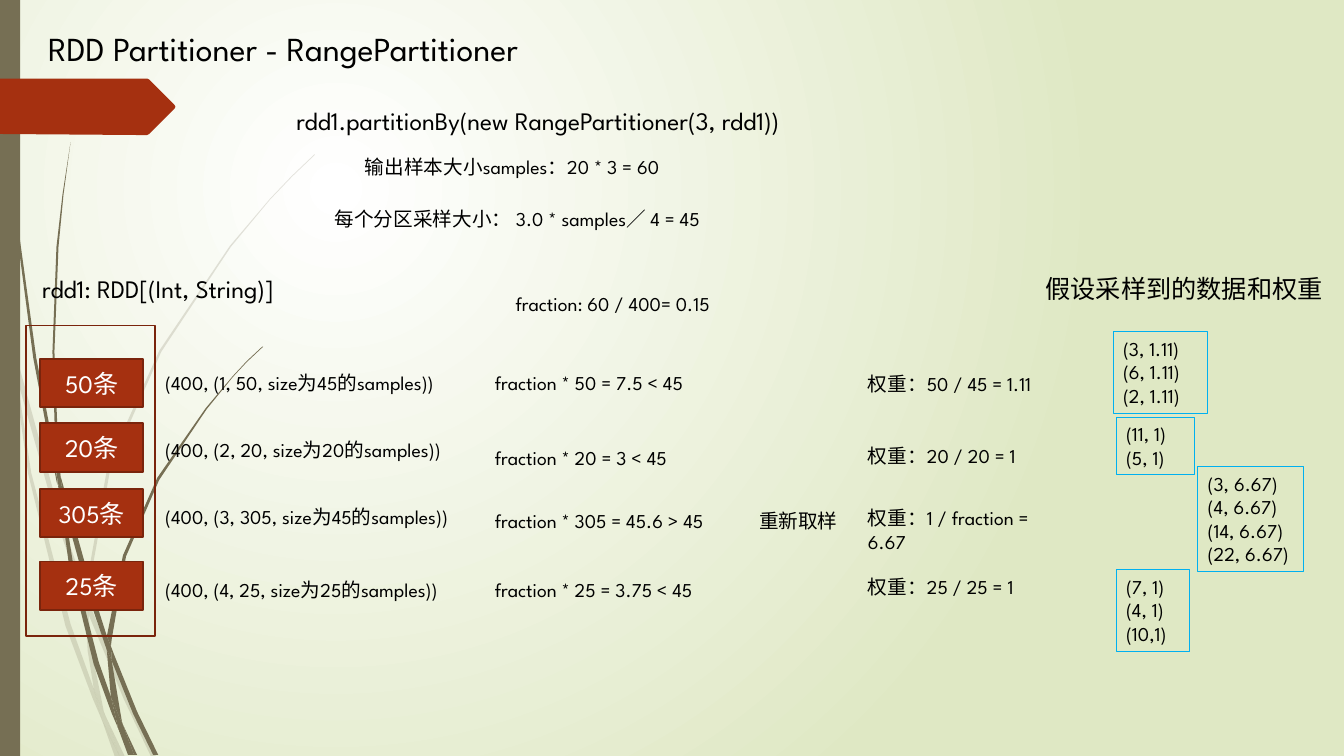
from dataclasses import dataclass

from lxml import etree
from pptx import Presentation
from pptx.dml.color import RGBColor
from pptx.enum import shapes, text
from pptx.oxml import ns
from pptx.util import Emu, Pt

PX = 9144
FONT = "League Spartan"
BLACK, WHITE, RED, DARK_RED = "000000", "FFFFFF", "A53010", "7A240C"
OLIVE, PALE_GREEN, BLUE = "766F54", "DFE8C4", "00B0F0"
Outline = tuple[tuple[int, int], ...]

PALE_WISPS: tuple[Outline, ...] = (
    ((11, 350), (9, 322), (0, 282), (0, 299), (10, 344)),
    ((58, 522), (84, 599), (85, 586), (62, 520), (14, 345), (17, 376)),
    ((92, 607), (88, 596), (88, 610), (123, 694), (150, 751), (155, 751), (127, 692)),
    ((119, 751), (124, 751), (105, 711)),
    ((93, 683), (70, 619), (31, 469), (17, 376), (11, 350), (28, 470), (65, 621),
     (92, 693), (101, 714), (99, 707)),
    ((84, 599), (87, 646), (93, 683), (96, 692), (105, 711), (103, 706), (91, 646),
     (88, 610), (88, 608)),
    ((88, 584), (110, 462), (160, 349), (229, 245), (268, 198), (290, 175), (312, 154),
     (312, 153), (289, 175), (268, 197), (228, 244), (158, 348), (107, 461), (85, 584),
     (85, 586), (88, 596)),
    ((101, 714), (114, 751), (119, 751)),
    ((88, 608), (88, 610), (88, 596), (85, 586), (84, 599)),
    ((96, 692), (93, 683), (99, 707), (101, 714), (119, 751), (105, 711)),
)
DARK_WISPS: tuple[Outline, ...] = (
    ((7, 110), (17, 233), (33, 355), (56, 477), (57, 481), (55, 457), (55, 453),
     (36, 355), (19, 232), (8, 109), (5, 48), (4, 0), (3, 0), (4, 48)),
    ((88, 592), (106, 645), (106, 633), (106, 631), (93, 590), (60, 472), (64, 505)),
    ((113, 649), (110, 641), (111, 656), (132, 708), (152, 749), (157, 749), (136, 706)),
    ((110, 691), (98, 657), (72, 556), (64, 505), (57, 477), (68, 557), (93, 659),
     (111, 708), (117, 722), (116, 717)),
    ((60, 472), (58, 453), (54, 349), (58, 245), (63, 193), (70, 141), (62, 193),
     (56, 245), (52, 349), (55, 449)),
    ((133, 749), (136, 749), (122, 719)),
    ((57, 477), (64, 505), (60, 472), (55, 449), (55, 453)),
    ((111, 633), (125, 552), (158, 476), (205, 406), (231, 374), (245, 359), (261, 344),
     (260, 344), (245, 358), (231, 373), (204, 405), (156, 474), (122, 551), (106, 631),
     (110, 641)),
    ((117, 722), (127, 749), (131, 749)),
    ((106, 645), (110, 691), (116, 706), (122, 719), (121, 716), (111, 656), (109, 651)),
    ((106, 645), (109, 651), (111, 656), (110, 641), (106, 631), (106, 633)),
    ((116, 706), (110, 691), (116, 717), (117, 722), (130, 749), (133, 749), (122, 719)),
)
TITLE_ARROW: Outline = (
    (173, 108), (148, 133), (146, 134), (136, 134), (0, 133), (0, 78), (146, 78),
    (148, 79), (173, 104), (174, 106),
)


@dataclass(frozen=True)
class Label:
    """A free line of text."""

    words: str
    left: int
    top: int
    width: int
    height: int = 34
    size: int = 14
    align_right: bool = False


@dataclass(frozen=True)
class Partition:
    """One partition: its record, its fraction check and its weight."""

    rows: int
    sampled: int
    check: str
    weight: str
    top: int
    record_top: int
    check_top: int
    weight_top: int


@dataclass(frozen=True)
class Sample:
    """A framed list of sampled keys with their weight."""

    pairs: str
    left: int
    top: int
    width: int
    height: int


LABELS = (
    Label("RDD Partitioner - RangePartitioner", 38, 23, 566, 50, 24),
    Label("输出样本大小samples：20 * 3 = 60", 352, 149, 331),
    Label("每个分区采样大小： 3.0 * samples／ 4 = 45", 322, 200, 421),
    Label("fraction: 60 / 400= 0.15", 480, 285, 234, align_right=True),
    Label("重新取样", 743, 500, 99),
    Label("rdd1: RDD[(Int, String)]", 32, 266, 290, 40, 18),
    Label("rdd1.partitionBy(new RangePartitioner(3, rdd1))", 284, 100, 598, 40, 18),
    Label("假设采样到的数据和权重", 1027, 266, 298, 40, 18),
)
PARTITIONS = (
    Partition(50, 45, "7.5 < 45", "50 / 45 = 1.11", 356, 363, 363, 364),
    Partition(20, 20, "3 < 45", "20 / 20 = 1", 420, 430, 437, 435),
    Partition(305, 45, "45.6 > 45", "1 / fraction = 6.67", 485, 496, 500, 497),
    Partition(25, 25, "3.75 < 45", "25 / 25 = 1", 557, 568, 568, 565),
)
SAMPLES = (
    Sample("(3, 1.11)\n(6, 1.11)\n(2, 1.11)", 1104, 329, 94, 81),
    Sample("(11, 1)\n(5, 1)", 1107, 414, 78, 57),
    Sample("(3, 6.67)\n(4, 6.67)\n(14, 6.67)\n(22, 6.67)", 1188, 463, 105, 104),
    Sample("(7, 1)\n(4, 1)\n(10,1)", 1107, 565, 73, 81),
)


def px(*lengths: int) -> list[Emu]:
    """Turn px into EMU."""
    return [Emu(length * PX) for length in lengths]


def rgb(value: str) -> RGBColor:
    """Turn a hex string into a colour."""
    return RGBColor.from_string(value)


def paint(shape, fill: str | None = None, line: str | None = None, weight: float = 1.25) -> None:
    """Set fill and line, or clear them, and drop the shadow."""
    shape.shadow.inherit = False
    if fill:
        shape.fill.solid()
        shape.fill.fore_color.rgb = rgb(fill)
    else:
        shape.fill.background()
    if line:
        shape.line.color.rgb = rgb(line)
        shape.line.width = Pt(weight)
    else:
        shape.line.fill.background()


def write(frame, words: str, *, size: int = 14, color: str = BLACK,
          align=text.PP_ALIGN.LEFT) -> None:
    """Fill a text frame, one paragraph for each line."""
    frame.text = words
    for paragraph in frame.paragraphs:
        paragraph.alignment = align
        for run in paragraph.runs:
            run.font.name, run.font.size = FONT, Pt(size)
            run.font.color.rgb = rgb(color)


def add_outline(parent, outline: Outline, color: str, alpha: int = 100) -> None:
    """Draw a filled polygon through the given points."""
    builder = parent.build_freeform(*outline[0], scale=PX)
    builder.add_line_segments(outline[1:], close=True)
    shape = builder.convert_to_shape()
    paint(shape, color)
    if alpha < 100:
        swatch = shape.fill._xPr.find(".//" + ns.qn("a:srgbClr"))
        etree.SubElement(swatch, ns.qn("a:alpha"), val=str(alpha * 1000))


def add_rect(slide, *box: int, fill: str | None = None, line: str | None = None):
    """Draw a rectangle."""
    rect = slide.shapes.add_shape(shapes.MSO_SHAPE.RECTANGLE, *px(*box))
    paint(rect, fill, line)
    return rect


def add_label(slide, label: Label):
    """Draw an unwrapped text box that fits its text."""
    box = slide.shapes.add_textbox(*px(label.left, label.top, label.width, label.height))
    box.text_frame.word_wrap = False
    box.text_frame.auto_size = text.MSO_AUTO_SIZE.SHAPE_TO_FIT_TEXT
    align = text.PP_ALIGN.RIGHT if label.align_right else text.PP_ALIGN.LEFT
    write(box.text_frame, label.words, size=label.size, align=align)
    return box


def set_background(slide) -> None:
    """Fill the background with a circular gradient."""
    fill = slide.background.fill
    fill.gradient()
    for stop, color in zip(fill.gradient_stops, (WHITE, PALE_GREEN)):
        stop.color.rgb = rgb(color)
    linear = slide._element.find(".//" + ns.qn("a:lin"))
    circle = etree.Element(ns.qn("a:path"), path="circle")
    etree.SubElement(circle, ns.qn("a:fillToRect"), l="50000", t="50000", r="100000", b="100000")
    linear.getparent().replace(linear, circle)


def add_partition(slide, number: int, part: Partition) -> None:
    """Draw one partition and the texts to its right."""
    block = add_rect(slide, 40, part.top, 102, 48, fill=RED, line=DARK_RED)
    write(block.text_frame, f"{part.rows}条", size=18, color=WHITE, align=text.PP_ALIGN.CENTER)
    record = f"(400, ({number}, {part.rows}, size为{part.sampled}的samples))"
    add_label(slide, Label(record, 154, part.record_top, 320))
    add_label(slide, Label(f"fraction * {part.rows} = {part.check}", 481, part.check_top, 240))
    add_label(slide, Label(f"权重：{part.weight}", 851, part.weight_top, 203))


def main() -> None:
    """Build the slide and save it."""
    deck = Presentation()
    deck.slide_width, deck.slide_height = px(1333, 750)
    slide = deck.slides.add_slide(deck.slide_layouts[6])
    set_background(slide)
    for wisps, alpha in ((PALE_WISPS, 20), (DARK_WISPS, 100)):
        group = slide.shapes.add_group_shape()
        for wisp in wisps:
            add_outline(group.shapes, wisp, OLIVE, alpha)
    add_rect(slide, 0, 0, 20, 750, fill=OLIVE)
    add_outline(slide.shapes, TITLE_ARROW, RED)
    add_rect(slide, 26, 323, 128, 308, line=DARK_RED)
    for number, part in enumerate(PARTITIONS, start=1):
        add_partition(slide, number, part)
    for label in LABELS:
        add_label(slide, label)
    for sample in SAMPLES:
        frame = add_label(slide, Label(sample.pairs, sample.left, sample.top,
                                       sample.width, sample.height))
        paint(frame, line=BLUE, weight=0.75)
    deck.save("out.pptx")


if __name__ == "__main__":
    main()
